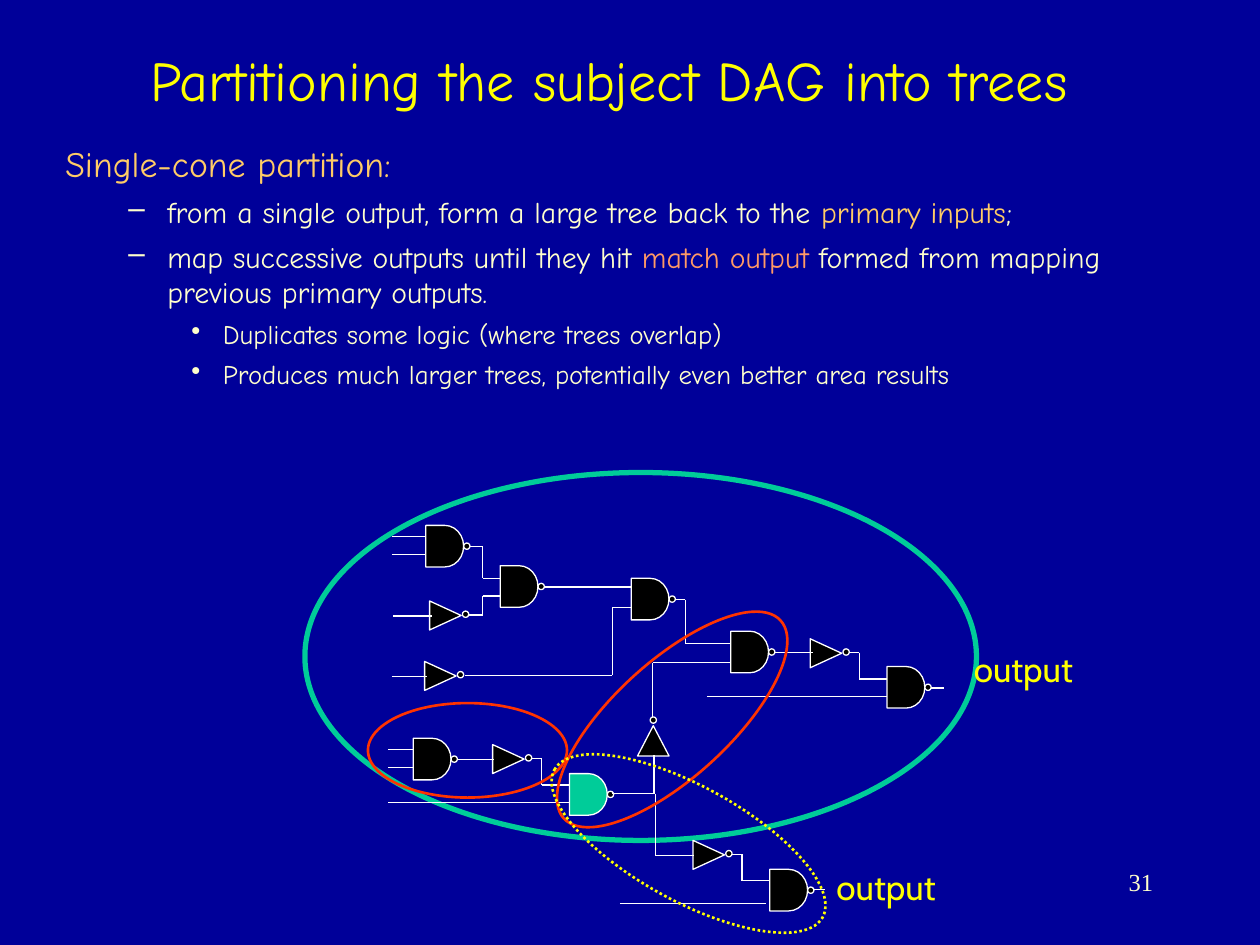
from itertools import pairwise

from lxml.etree import SubElement
from pptx import Presentation
from pptx.dml.color import RGBColor
from pptx.enum.dml import MSO_LINE
from pptx.enum.shapes import MSO_CONNECTOR, MSO_SHAPE as SHAPE
from pptx.enum.text import MSO_ANCHOR, PP_ALIGN
from pptx.oxml.ns import qn
from pptx.util import Inches, Pt

NAVY = RGBColor(0x00, 0x00, 0x99)
GREEN = RGBColor(0x00, 0xCC, 0x99)
YELLOW = RGBColor(0xFF, 0xFF, 0x00)
GOLD = RGBColor(0xFF, 0xCC, 0x66)
CREAM = RGBColor(0xFF, 0xFF, 0xCC)
ORANGE = RGBColor(0xFF, 0x99, 0x66)
RED = RGBColor(0xFF, 0x33, 0x00)
BLACK = RGBColor(0x00, 0x00, 0x00)
WHITE = RGBColor(0xFF, 0xFF, 0xFF)

HEADING_FONT = "Comic Neue"
LABEL_FONT = "Cabin"
NUMBER_FONT = "Times New Roman"

OUTLINE = [
    (0, [("Single-cone partition:", GOLD)]),
    (1, [("from a single output, form a large tree back to the ", CREAM),
         ("primary inputs", GOLD), (";", CREAM)]),
    (1, [("map successive outputs until they hit ", CREAM), ("match output", ORANGE),
         (" formed from mapping previous primary outputs.", CREAM)]),
    (2, [("Duplicates some logic (where trees overlap)", CREAM)]),
    (2, [("Produces much larger trees, potentially even better area results", CREAM)]),
]
LEVELS = [
    (20.4, 6, 0.38, -0.38, None),
    (17, 5, 0.81, -0.31, "–"),
    (15.3, 4.5, 1.25, -0.25, "•"),
]

NANDS = [(0.86, 2.11), (1.55, 0.74), (0.96, 0.42), (2.59, 0.84),
         (3.38, 1.26), (4.62, 1.54), (3.69, 3.15)]
SHARED_NAND = (2.1, 2.39)
INVERTERS = [(1.5, 2.15), (1, 1.01), (0.96, 1.49), (4.02, 1.31), (3.09, 2.91)]
WIRES = [
    [(0.66, 2.2), (0.86, 2.2)],
    [(0.66, 2.34), (0.86, 2.34)],
    [(1.21, 2.28), (1.5, 2.28)],
    [(1.8, 2.27), (1.88, 2.27), (1.88, 2.48), (2.1, 2.48)],
    [(0.66, 2.62), (2.1, 2.62)],
    [(0.69, 0.51), (0.96, 0.51)],
    [(0.69, 0.65), (0.96, 0.65)],
    [(1.31, 0.59), (1.41, 0.59), (1.41, 0.84), (1.55, 0.84)],
    [(0.7, 1.14), (1.01, 1.14)],
    [(1.3, 1.13), (1.41, 1.13), (1.41, 0.98), (1.55, 0.98)],
    [(1.9, 0.91), (2.59, 0.91)],
    [(0.69, 1.62), (0.97, 1.62)],
    [(1.27, 1.61), (2.44, 1.61), (2.44, 1.07), (2.59, 1.07)],
    [(2.94, 1.01), (3.02, 1.01), (3.02, 1.36), (3.38, 1.36)],
    [(3.73, 1.43), (4.03, 1.43)],
    [(4.32, 1.43), (4.4, 1.43), (4.4, 1.64), (4.62, 1.64)],
    [(3.19, 1.78), (4.62, 1.78)],
    [(4.97, 1.71), (5.07, 1.71)],
    [(2.44, 2.55), (2.77, 2.55), (2.77, 2.24)],
    [(2.76, 1.94), (2.76, 1.51), (3.38, 1.51)],
    [(2.78, 2.55), (2.78, 3.04), (3.09, 3.04)],
    [(3.39, 3.03), (3.47, 3.03), (3.47, 3.24), (3.69, 3.24)],
    [(2.5, 3.42), (3.66, 3.42)],
    [(4.03, 3.31), (4.13, 3.31)],
]


def add_outlined(slide, kind, box, fill, line, weight=0.75, rotation=0):
    shape = slide.shapes.add_shape(kind, *map(Inches, box))
    shape.shadow.inherit = False
    shape.rotation = rotation
    if fill is None:
        shape.fill.background()
    else:
        shape.fill.solid()
        shape.fill.fore_color.rgb = fill
    shape.line.color.rgb = line
    shape.line.width = Pt(weight)
    return shape


def style(paragraph, font, size, color=None):
    paragraph.font.name = font
    paragraph.font.size = Pt(size)
    if color is not None:
        paragraph.font.color.rgb = color


def add_text(slide, box, text, font, size, color, align=PP_ALIGN.LEFT,
             anchor=MSO_ANCHOR.TOP, wrap=True):
    frame = slide.shapes.add_textbox(*map(Inches, box)).text_frame
    frame.word_wrap = wrap
    frame.vertical_anchor = anchor
    paragraph = frame.paragraphs[0]
    paragraph.text = text
    paragraph.alignment = align
    style(paragraph, font, size, color)


def set_bullet(paragraph, margin, indent, mark):
    properties = paragraph._p.get_or_add_pPr()
    properties.set("marL", str(Inches(margin)))
    properties.set("indent", str(Inches(indent)))
    if mark:
        color = SubElement(properties, qn("a:buClr"))
        SubElement(color, qn("a:srgbClr")).set("val", str(CREAM))
        SubElement(properties, qn("a:buChar")).set("char", mark)
    else:
        SubElement(properties, qn("a:buNone"))


def add_outline(slide, box):
    frame = slide.shapes.add_textbox(*map(Inches, box)).text_frame
    frame.word_wrap = True
    for index, (level, pieces) in enumerate(OUTLINE):
        paragraph = frame.add_paragraph() if index else frame.paragraphs[0]
        size, gap, margin, indent, mark = LEVELS[level]
        paragraph.level = level
        paragraph.space_before = Pt(gap)
        set_bullet(paragraph, margin, indent, mark)
        style(paragraph, HEADING_FONT, size)
        for text, color in pieces:
            run = paragraph.add_run()
            run.text = text
            run.font.color.rgb = color


def add_bubble(slide, x, y):
    add_outlined(slide, SHAPE.OVAL, (x, y, 0.05, 0.05), BLACK, WHITE)


def add_nand(slide, x, y, fill=BLACK):
    add_outlined(slide, SHAPE.FLOWCHART_DELAY, (x, y, 0.3, 0.33), fill, WHITE)
    add_bubble(slide, x + 0.3, y + 0.14)


def add_inverter(slide, x, y):
    add_outlined(slide, SHAPE.ISOSCELES_TRIANGLE, (x, y, 0.23, 0.25), BLACK, WHITE, rotation=90)
    add_bubble(slide, x + 0.25, y + 0.09)


def add_upward_inverter(slide, x, y):
    add_outlined(slide, SHAPE.ISOSCELES_TRIANGLE, (x, y, 0.25, 0.24), BLACK, WHITE)
    add_bubble(slide, x + 0.1, y - 0.07)


def add_wire(slide, points):
    for start, end in pairwise(points):
        wire = slide.shapes.add_connector(MSO_CONNECTOR.STRAIGHT, *map(Inches, start + end))
        wire.line.color.rgb = WHITE
        wire.line.width = Pt(0.75)
        SubElement(wire._element.spPr, qn("a:effectLst"))


def add_circuit(slide, box):
    left, top, width, height = box

    def at(x, y):
        return left + x, top + y

    add_outlined(slide, SHAPE.OVAL, (left, top, width, height), NAVY, GREEN, 3)
    for position in NANDS:
        add_nand(slide, *at(*position))
    add_nand(slide, *at(*SHARED_NAND), fill=GREEN)
    for position in INVERTERS:
        add_inverter(slide, *at(*position))
    add_upward_inverter(slide, *at(2.64, 2.01))
    for points in WIRES:
        add_wire(slide, [at(*point) for point in points])
    for position in [(5.21, 1.34), (4.12, 3.07)]:
        add_text(slide, (*at(*position), 1.08, 0.44), "output", LABEL_FONT, 20, YELLOW, wrap=False)
    add_outlined(slide, SHAPE.OVAL, (*at(0.5, 1.83), 1.58, 0.75), None, RED, 1.5)
    add_outlined(slide, SHAPE.OVAL, (*at(1.75, 1.5), 2.33, 0.92), None, RED, 1.5, 317.6)
    second_cone = add_outlined(slide, SHAPE.OVAL, (*at(1.83, 2.49), 2.43, 0.91),
                               None, YELLOW, 1.5, 28.8)
    second_cone.line.dash_style = MSO_LINE.ROUND_DOT


def main():
    deck = Presentation()
    deck.slide_width, deck.slide_height = Inches(10), Inches(7.5)
    slide = deck.slides.add_slide(deck.slide_layouts[6])
    slide.background.fill.solid()
    slide.background.fill.fore_color.rgb = NAVY
    add_circuit(slide, (2.42, 3.75, 5.33, 2.92))
    add_text(slide, (0, 0, 9.67, 1.25), "Partitioning the subject DAG into trees",
             HEADING_FONT, 32, YELLOW, PP_ALIGN.CENTER, MSO_ANCHOR.MIDDLE)
    add_outline(slide, (0.42, 1.08, 9.17, 2.08))
    add_text(slide, (7.17, 6.83, 2.08, 0.5), "31", NUMBER_FONT, 14, CREAM, PP_ALIGN.RIGHT)
    deck.save("out.pptx")


if __name__ == "__main__":
    main()
